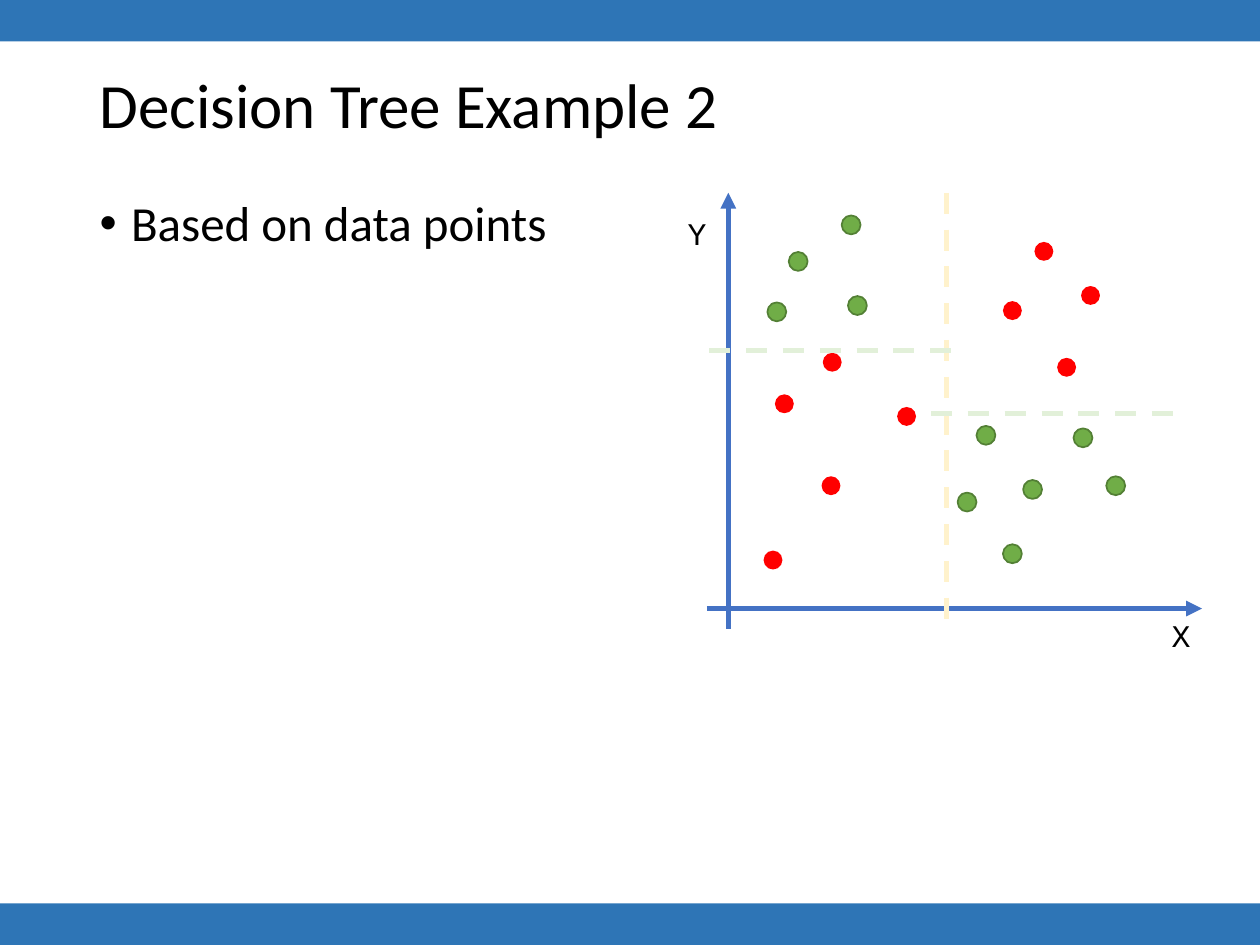
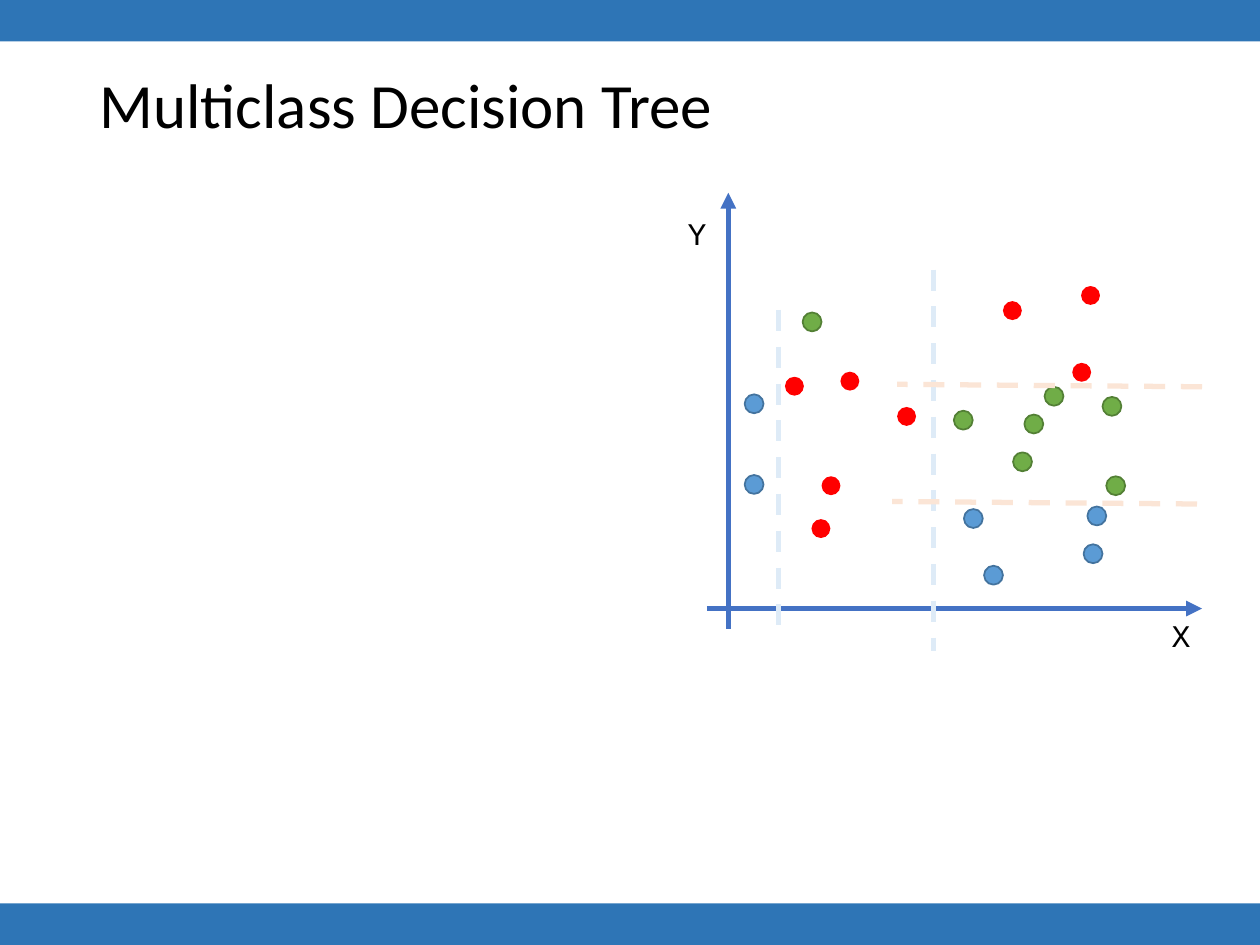
import pptx
import pptx.dml.color
import pptx.enum.dml
import pptx.enum.shapes
import pptx.enum.text
import pptx.oxml.ns
import pptx.util
from lxml import etree
from pptx.util import Inches

WIDTH, HEIGHT, BAND_HEIGHT = 10, 7.5, 0.33
DOT_SIZE = 0.15
HEADING_FONT, LABEL_FONT = "Calibri", "Courier New"
BLACK, BAND_BLUE, AXIS_BLUE = "000000", "2E75B6", "4472C4"
PALE_YELLOW, PALE_GREEN, PALE_BLUE, PALE_ORANGE = "FFF2CC", "E2F0D9", "DEEBF7", "FBE5D6"
# Fill and outline of each class of data points
RED, GREEN, BLUE = ("FF0000", None), ("70AD47", "538035"), ("5B9BD5", "43739E")
TITLE_AND_CONTENT, TITLE_ONLY = 1, 5


def color(hex_string):
    return pptx.dml.color.RGBColor.from_string(hex_string)


class Deck:
    """Holds the shared style and the slide being drawn."""

    def __init__(self):
        self.presentation = pptx.Presentation()
        self.presentation.slide_width = Inches(WIDTH)
        self.presentation.slide_height = Inches(HEIGHT)
        self.slide = None

    def start_slide(self, title, layout=TITLE_ONLY):
        self.slide = self.presentation.slides.add_slide(
            self.presentation.slide_layouts[layout])
        for top in (0, HEIGHT - BAND_HEIGHT):
            self.shape("RECTANGLE", 0, top, WIDTH, BAND_HEIGHT, BAND_BLUE)
        self.placeholder(self.slide.shapes.title, title, (0.69, 0.4, 8.62, 0.91), 36, "MIDDLE")

    def placeholder(self, shape, text, box, size, anchor):
        shape.left, shape.top, shape.width, shape.height = map(Inches, box)
        frame = shape.text_frame
        frame.text = text
        frame.word_wrap = True
        frame.auto_size = pptx.enum.text.MSO_AUTO_SIZE.NONE
        frame.vertical_anchor = pptx.enum.text.MSO_ANCHOR[anchor]
        paragraph = frame.paragraphs[0]
        paragraph.alignment = pptx.enum.text.PP_ALIGN.LEFT
        paragraph.line_spacing = 0.9
        self.format_runs(paragraph, size, HEADING_FONT)
        return paragraph

    def format_runs(self, paragraph, size, font):
        for run in paragraph.runs:
            run.font.size = pptx.util.Pt(size)
            run.font.name = font
            run.font.color.rgb = color(BLACK)

    def bullet(self, text):
        paragraph = self.placeholder(
            self.slide.placeholders[1], text, (0.69, 1.53, 3.81, 2.77), 28, "TOP")
        paragraph.space_before = pptx.util.Pt(10)
        properties = paragraph._p.get_or_add_pPr()
        properties.set("marL", str(Inches(0.25)))
        properties.set("indent", str(Inches(-0.25)))

    def shape(self, kind, left, top, width, height, fill, outline=None):
        shape = self.slide.shapes.add_shape(
            pptx.enum.shapes.MSO_SHAPE[kind], *map(Inches, (left, top, width, height)))
        shape.shadow.inherit = False
        shape.fill.solid()
        shape.fill.fore_color.rgb = color(fill)
        if outline:
            shape.line.color.rgb = color(outline)
            shape.line.width = pptx.util.Pt(1)
        else:
            shape.line.fill.background()

    def line(self, start, end, stroke, dashed=False, arrow=False):
        connector = self.slide.shapes.add_connector(
            pptx.enum.shapes.MSO_CONNECTOR.STRAIGHT, *map(Inches, start + end))
        connector.line.color.rgb = color(stroke)
        connector.line.width = pptx.util.Pt(3)
        if dashed:
            connector.line.dash_style = pptx.enum.dml.MSO_LINE.DASH
        qualified = pptx.oxml.ns.qn
        properties = connector.element.spPr
        if arrow:
            outline = properties.find(qualified("a:ln"))
            etree.SubElement(outline, qualified("a:tailEnd"), type="triangle")
        etree.SubElement(properties, qualified("a:effectLst"))

    def label(self, text, left, top):
        box = self.slide.shapes.add_textbox(*map(Inches, (left, top, 0.34, 0.4)))
        frame = box.text_frame
        frame.text = text
        frame.word_wrap = False
        frame.auto_size = pptx.enum.text.MSO_AUTO_SIZE.SHAPE_TO_FIT_TEXT
        self.format_runs(frame.paragraphs[0], 18, LABEL_FONT)

    def scatter(self, classes, splits):
        """Draw the axes, the points of each class and the dashed split lines."""
        self.line((5.61, 4.83), (9.54, 4.83), AXIS_BLUE, arrow=True)
        self.line((5.78, 4.99), (5.78, 1.53), AXIS_BLUE, arrow=True)
        self.label("X", 9.2, 4.84)
        self.label("Y", 5.36, 1.65)
        for (fill, outline), points in classes:
            for left, top in points:
                self.shape("OVAL", left, top, DOT_SIZE, DOT_SIZE, fill, outline)
        for start, end, stroke in splits:
            self.line(start, end, stroke, dashed=True)


def main():
    deck = Deck()

    deck.start_slide("Decision Tree Example 2", TITLE_AND_CONTENT)
    deck.bullet("Based on data points")
    deck.scatter(
        classes=[
            (RED, [(6.06, 4.37), (7.12, 3.23), (6.15, 3.13), (6.53, 2.8), (8.58, 2.27),
                   (6.52, 3.78), (8.39, 2.84), (7.96, 2.39), (8.21, 1.92)]),
            (GREEN, [(6.73, 2.35), (7.6, 3.91), (8.52, 3.4), (8.12, 3.81), (7.75, 3.38),
                     (7.96, 4.32), (8.78, 3.78), (6.26, 2), (6.68, 1.71), (6.09, 2.4)]),
        ],
        splits=[
            ((7.51, 1.53), (7.51, 4.95), PALE_YELLOW),
            ((7.39, 3.28), (9.36, 3.28), PALE_GREEN),
            ((5.63, 2.78), (7.6, 2.78), PALE_GREEN),
        ])

    deck.start_slide("Multiclass Decision Tree")
    deck.scatter(
        classes=[
            (RED, [(6.44, 4.12), (7.12, 3.23), (6.23, 2.99), (6.67, 2.95), (8.58, 2.27),
                   (6.52, 3.78), (8.51, 2.88), (7.96, 2.39)]),
            (GREEN, [(6.37, 2.48), (7.57, 3.26), (8.29, 3.07), (8.75, 3.15), (8.13, 3.29),
                     (8.04, 3.59), (8.78, 3.78)]),
            (BLUE, [(8.63, 4.02), (7.65, 4.04), (8.6, 4.32), (7.81, 4.49), (5.91, 3.13),
                    (5.91, 3.77)]),
        ],
        splits=[
            ((7.41, 2.14), (7.41, 5.17), PALE_BLUE),
            ((9.5, 4), (7.08, 3.98), PALE_ORANGE),
            ((9.54, 3.07), (7.12, 3.05), PALE_ORANGE),
            ((6.18, 2.46), (6.18, 4.99), PALE_BLUE),
        ])

    deck.presentation.save("out.pptx")


if __name__ == "__main__":
    main()
